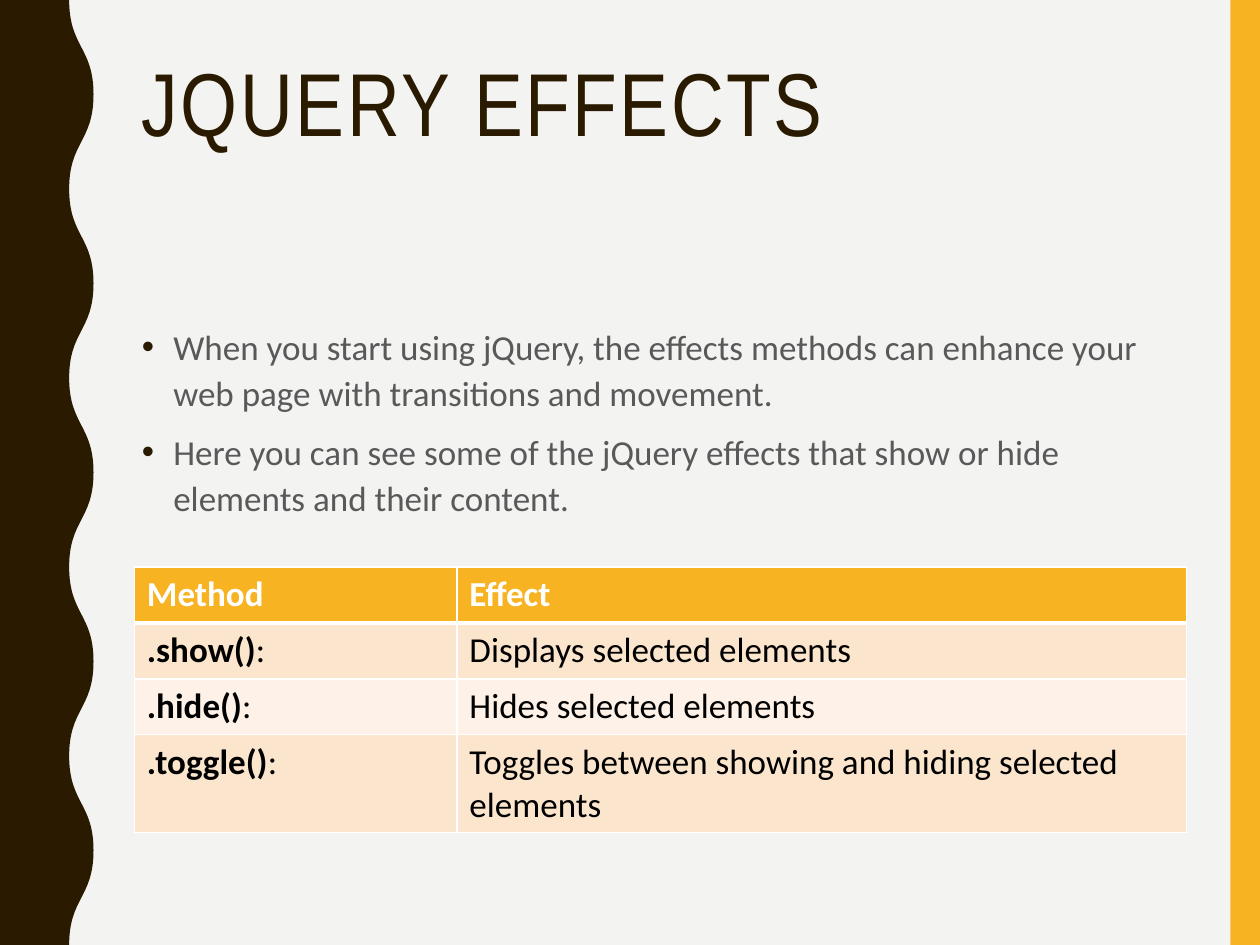
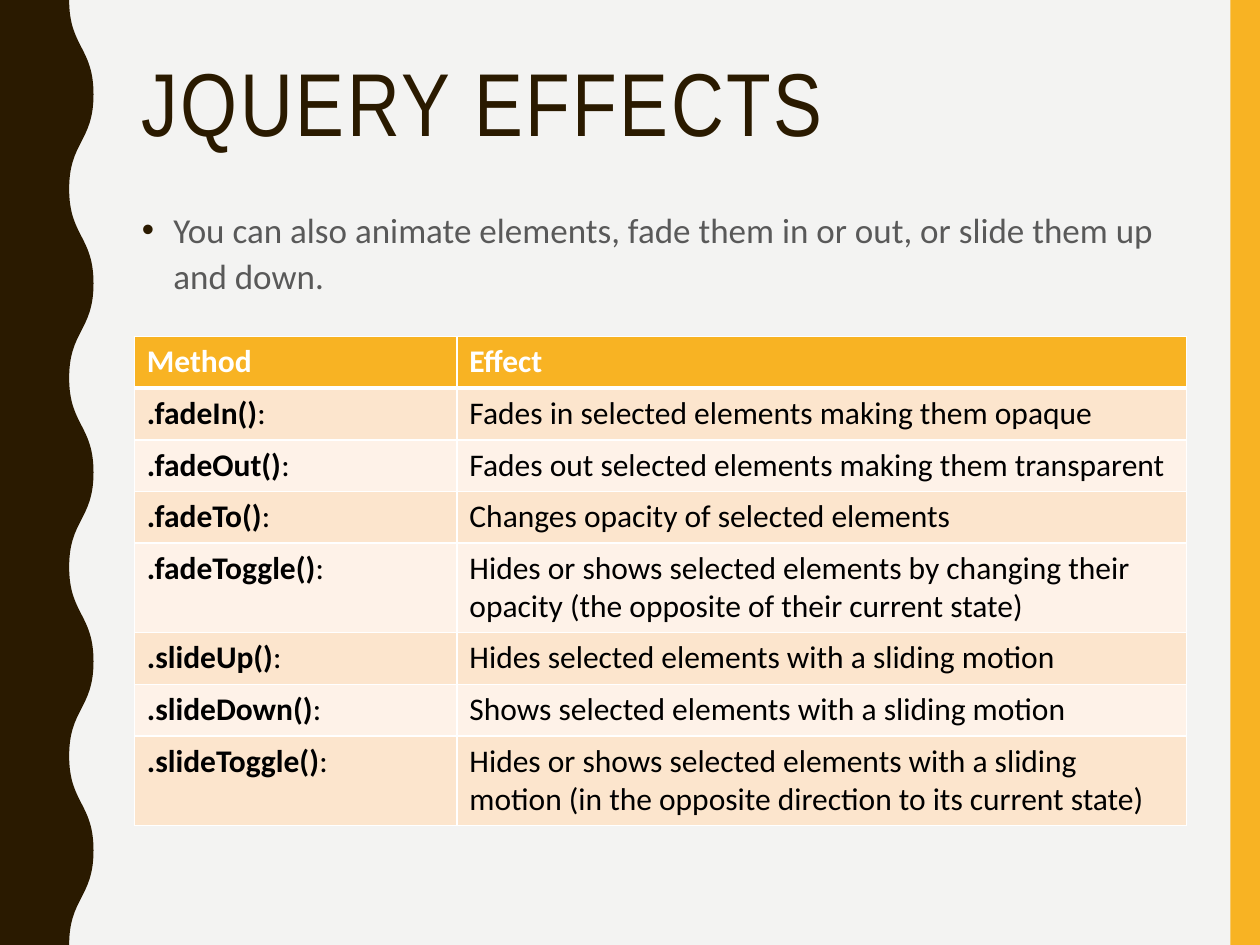
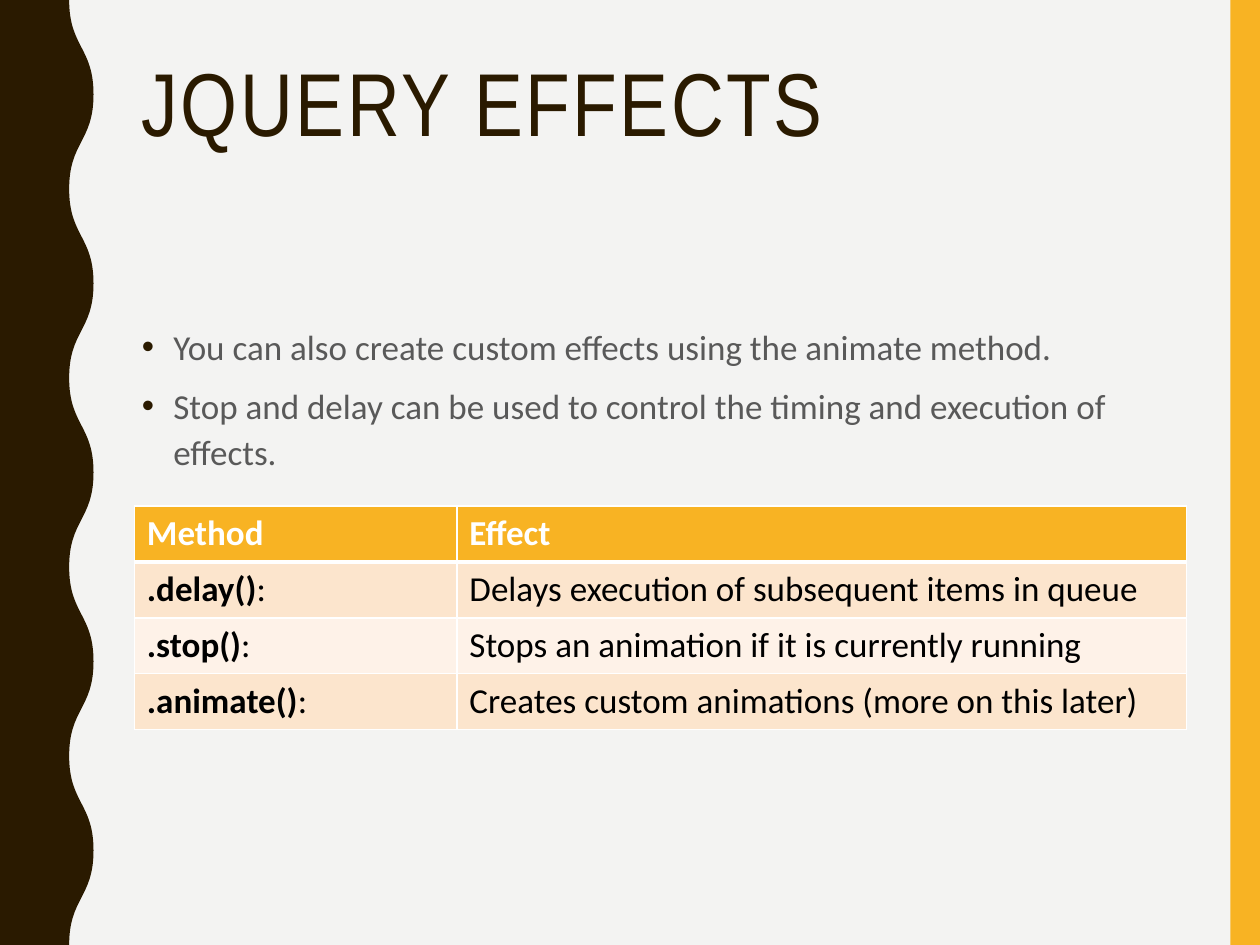
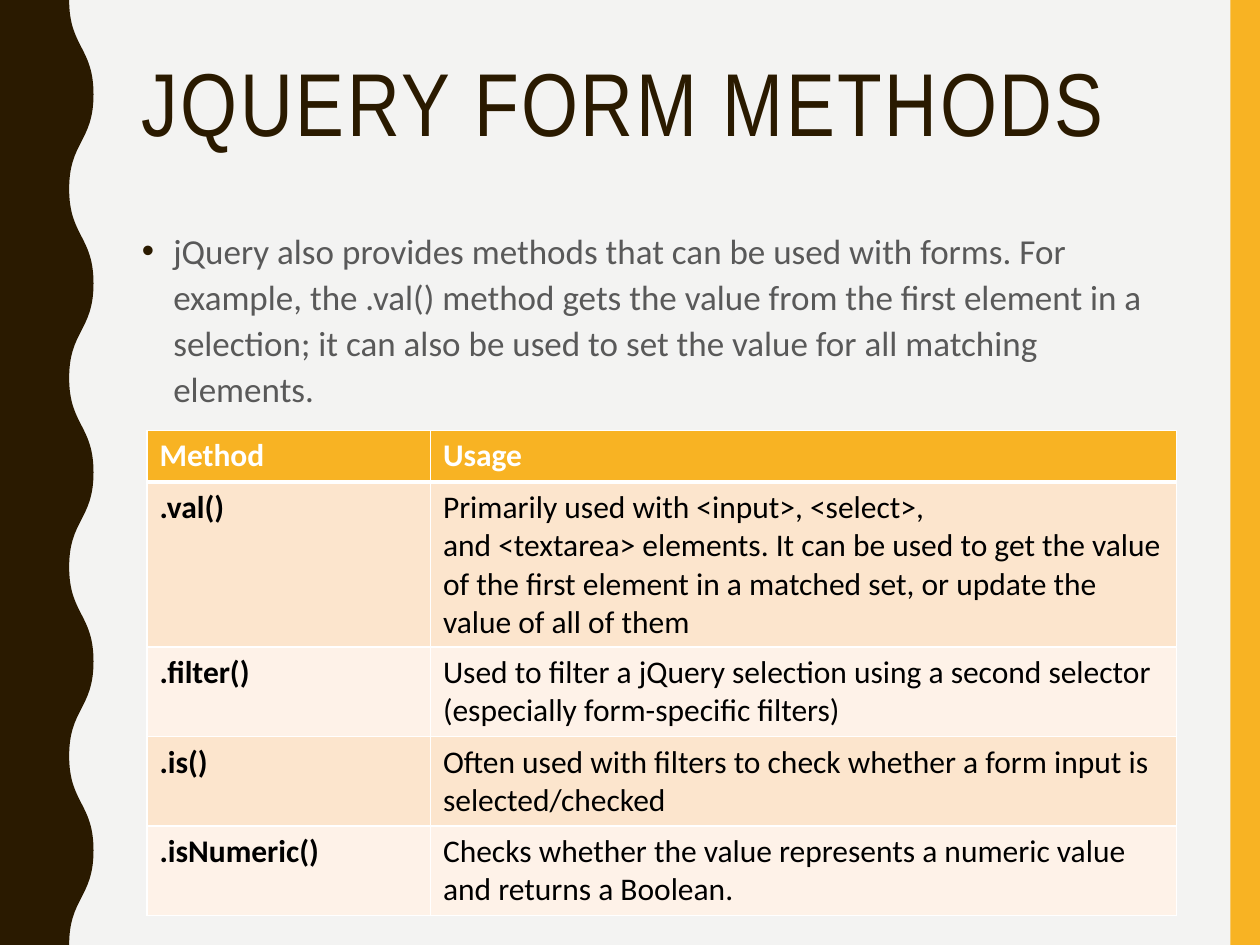
"""Four slides on jQuery effects and form methods: title, bullets, method table."""
import collections

import lxml.etree
import pptx
import pptx.dml.color
import pptx.enum.shapes
import pptx.enum.text
import pptx.oxml.ns
import pptx.util

DARK, GOLD, GREY, PAPER = "2A1A00", "F8B323", "595959", "F3F3F2"
WHITE, BLACK = "FFFFFF", "000000"
BANDS = ("FCE5CD", "FEF2E8")
TITLE_FONT, BODY_FONT = "Arial Narrow", "Calibri"

deck = pptx.Presentation()
deck.slide_width = pptx.util.Inches(10)
deck.slide_height = pptx.util.Inches(7.5)
UNIT = deck.slide_width / 100  # one square of a grid of 100 columns by 75 rows
ROWS = 75

Box = collections.namedtuple("Box", "left top width height")
TITLE_BOX = Box(10.27, 4.2, 83.5, 16.3)
WAVE_BOX = Box(0, 0, 7.42, ROWS)
STRIPE_BOX = Box(97.66, 0, 2.34, ROWS)
BODY_HEIGHT = 39.3
ROW_HEIGHT = 4.06
CELL_FOOT = 0.6


def emu(squares):
    """Turn grid squares into slide units."""
    return pptx.util.Emu(round(squares * UNIT))


def place(box):
    """Give a box as the four lengths that python-pptx takes."""
    return [emu(length) for length in box]


def colour(value):
    """Turn a hex string into a colour."""
    return pptx.dml.color.RGBColor.from_string(value)


def paint(target, value):
    """Fill a shape, cell or background with one plain colour."""
    target.fill.solid()
    target.fill.fore_color.rgb = colour(value)


def add_span(para, text, size, value, font=BODY_FONT, bold=False):
    """Add one run of text to a paragraph."""
    span = para.add_run()
    span.text = text
    span.font.size = pptx.util.Pt(size)
    span.font.name = font
    span.font.bold = bold
    span.font.color.rgb = colour(value)
    return span


def add_text_frame(page, box):
    """Add a wrapping, top-anchored text box and return its text frame."""
    frame = page.shapes.add_textbox(*place(box)).text_frame
    frame.word_wrap = True
    frame.vertical_anchor = pptx.enum.text.MSO_ANCHOR.TOP
    return frame


def add_child(parent, tag, **attributes):
    """Append one DrawingML element."""
    return lxml.etree.SubElement(parent, pptx.oxml.ns.qn(tag), attributes)


def finish(shape, value):
    """Give a shape a plain fill, no line and no shadow."""
    paint(shape, value)
    shape.line.fill.background()
    shape.shadow.inherit = False


def add_stripe(page, box):
    """Draw the gold stripe on the right edge."""
    stripe = page.shapes.add_shape(
        pptx.enum.shapes.MSO_SHAPE.RECTANGLE, *place(box))
    finish(stripe, GOLD)


def add_wave(page, box, bends=10, trough=0.74):
    """Draw the dark band whose right edge swings between trough and crest."""
    edges = (box.width * trough, box.width)
    step = box.height / bends
    swing = [(edges[bend % 2], bend * step) for bend in range(bends + 1)]
    corners = swing[1:] + [(0, box.height), (0, 0)]
    outline = page.shapes.build_freeform(
        emu(box.left + edges[0]), emu(box.top))
    outline.add_line_segments(
        [(emu(box.left + x), emu(box.top + y)) for x, y in corners], close=True)
    wave = outline.convert_to_shape()
    finish(wave, DARK)
    lines = list(wave._element.iter(pptx.oxml.ns.qn("a:lnTo")))
    for line, start, end in zip(lines, swing, swing[1:]):
        line.tag = pptx.oxml.ns.qn("a:cubicBezTo")
        middle = (start[1] + end[1]) / 2
        handles = [(start[0], middle), (end[0], middle)]
        for index, (x, y) in enumerate(handles):
            handle = add_child(line, "a:pt", x=str(emu(x)), y=str(emu(y)))
            line.insert(index, handle)


def add_title(page, box, text):
    """Write the slide title."""
    para = add_text_frame(page, box).paragraphs[0]
    para.line_spacing = 0.9
    span = add_span(para, text, 51, DARK, TITLE_FONT)
    span.font._element.set("spc", "150")


def add_bullets(page, box, texts):
    """Write the bulleted body text."""
    frame = add_text_frame(page, box)
    for index, text in enumerate(texts):
        para = frame.add_paragraph() if index else frame.paragraphs[0]
        para.line_spacing = 1.1
        para.space_before = pptx.util.Pt(7)
        settings = para._p.get_or_add_pPr()
        settings.set("marL", str(emu(2.5)))
        settings.set("indent", str(-emu(2.5)))
        add_child(add_child(settings, "a:buClr"), "a:srgbClr", val=DARK)
        add_child(settings, "a:buFont", typeface="Arial")
        add_child(settings, "a:buChar", char="\u2022")
        add_span(para, text, 20, GREY)


def add_borders(cell, row):
    """Rule a cell in white, with a heavier line below the header."""
    heavy = {0: "B", 1: "T"}.get(row)
    for side in "LRTB":
        points = 3 if side == heavy else 1
        line = add_child(cell._tc.get_or_add_tcPr(), "a:ln" + side,
                         w=str(pptx.util.Pt(points)))
        add_child(add_child(line, "a:solidFill"), "a:srgbClr", val=WHITE)


def add_method_table(page, box, first_width, size, heading, methods, mark):
    """Draw the table of methods; mark follows each method name."""
    rows = [("Method", heading)] + methods
    table = page.shapes.add_table(len(rows), 2, *place(box)).table
    table.first_row = table.horz_banding = False
    table.columns[0].width = emu(first_width)
    table.columns[1].width = emu(box.width - first_width)
    for row, texts in enumerate(rows):
        table.rows[row].height = emu(ROW_HEIGHT)
        for column, text in enumerate(texts):
            cell = table.cell(row, column)
            cell.margin_bottom = emu(CELL_FOOT)
            add_borders(cell, row)
            paint(cell, BANDS[(row - 1) % 2] if row else GOLD)
            para = cell.text_frame.paragraphs[0]
            add_span(para, text, size, BLACK if row else WHITE,
                     bold=row == 0 or column == 0)
            if row and column == 0 and mark:
                add_span(para, mark, size, BLACK)


def add_method_page(title, bullets, body_top, table_top, size, methods,
                    heading="Effect", mark=":", left=10.66, width=83.5,
                    first_width=25.6):
    """Build one slide: bands, title, bullets and method table."""
    page = deck.slides.add_slide(deck.slide_layouts[6])
    paint(page.background, PAPER)
    add_stripe(page, STRIPE_BOX)
    add_wave(page, WAVE_BOX)
    add_title(page, TITLE_BOX, title)
    add_bullets(page, TITLE_BOX._replace(top=body_top, height=BODY_HEIGHT),
                bullets)
    table_box = Box(left, table_top, width, ROW_HEIGHT * (len(methods) + 1))
    add_method_table(page, table_box, first_width, size, heading, methods, mark)


add_method_page(
    "JQUERY EFFECTS",
    ["When you start using jQuery, the effects methods can enhance your web "
     "page with transitions and movement.",
     "Here you can see some of the jQuery effects that show or hide elements "
     "and their content."],
    body_top=25.02, table_top=45, size=20,
    methods=[
        (".show()", "Displays selected elements"),
        (".hide()", "Hides selected elements"),
        (".toggle()", "Toggles between showing and hiding selected elements"),
    ])

add_method_page(
    "JQUERY EFFECTS",
    ["You can also animate elements, fade them in or out, or slide them up "
     "and down."],
    body_top=15.7, table_top=26.7, size=18,
    methods=[
        (".fadeIn()", "Fades in selected elements making them opaque"),
        (".fadeOut()", "Fades out selected elements making them transparent"),
        (".fadeTo()", "Changes opacity of selected elements"),
        (".fadeToggle()", "Hides or shows selected elements by changing their "
                          "opacity (the opposite of their current state)"),
        (".slideUp()", "Hides selected elements with a sliding motion"),
        (".slideDown()", "Shows selected elements with a sliding motion"),
        (".slideToggle()", "Hides or shows selected elements with a sliding "
                           "motion (in the opposite direction to its current "
                           "state)"),
    ])

add_method_page(
    "JQUERY EFFECTS",
    ["You can also create custom effects using the animate method.",
     "Stop and delay can be used to control the timing and execution of "
     "effects."],
    body_top=25.02, table_top=40.16, size=20,
    methods=[
        (".delay()", "Delays execution of subsequent items in queue"),
        (".stop()", "Stops an animation if it is currently running"),
        (".animate()", "Creates custom animations (more on this later)"),
    ])

add_method_page(
    "JQUERY FORM METHODS",
    ["jQuery also provides methods that can be used with forms. For example, "
     "the .val() method gets the value from the first element in a selection; "
     "it can also be used to set the value for all matching elements."],
    body_top=17.37, table_top=34.16, size=18,
    methods=[
        (".val()", "Primarily used with\u00a0<input>,\u00a0<select>, "
                   "and\u00a0<textarea>\u00a0elements. It can be used to get "
                   "the value of the first element in a matched set, or update "
                   "the value of all of them"),
        (".filter()", "Used to filter a jQuery selection using a second "
                      "selector (especially form-specific filters)"),
        (".is()", "Often used with filters to check whether a form input is "
                  "selected/checked"),
        (".isNumeric()", "Checks whether the value represents a numeric value "
                         "and returns a Boolean."),
    ],
    heading="Usage", mark="", left=11.66, width=81.7, first_width=22.5)

deck.save("out.pptx")
